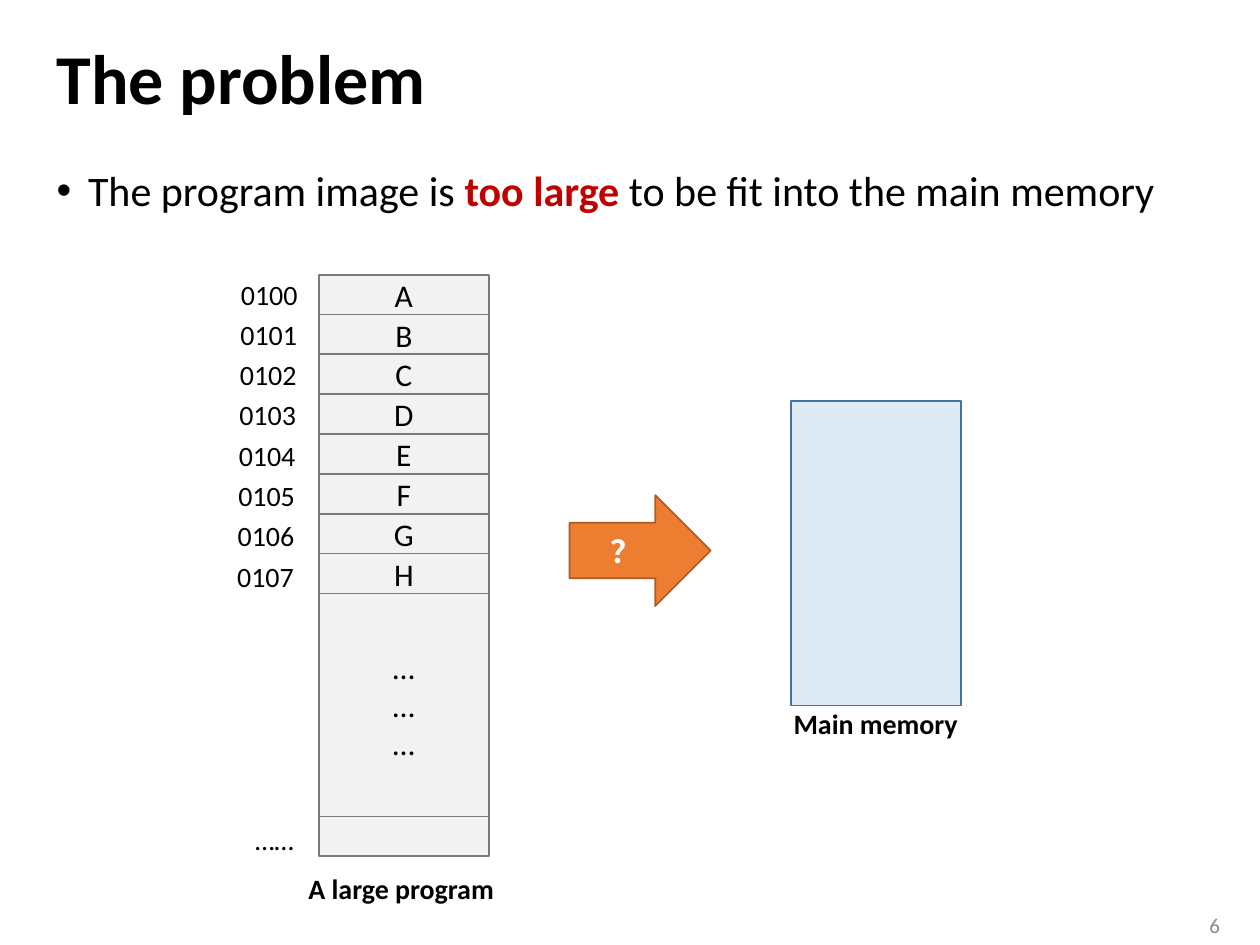
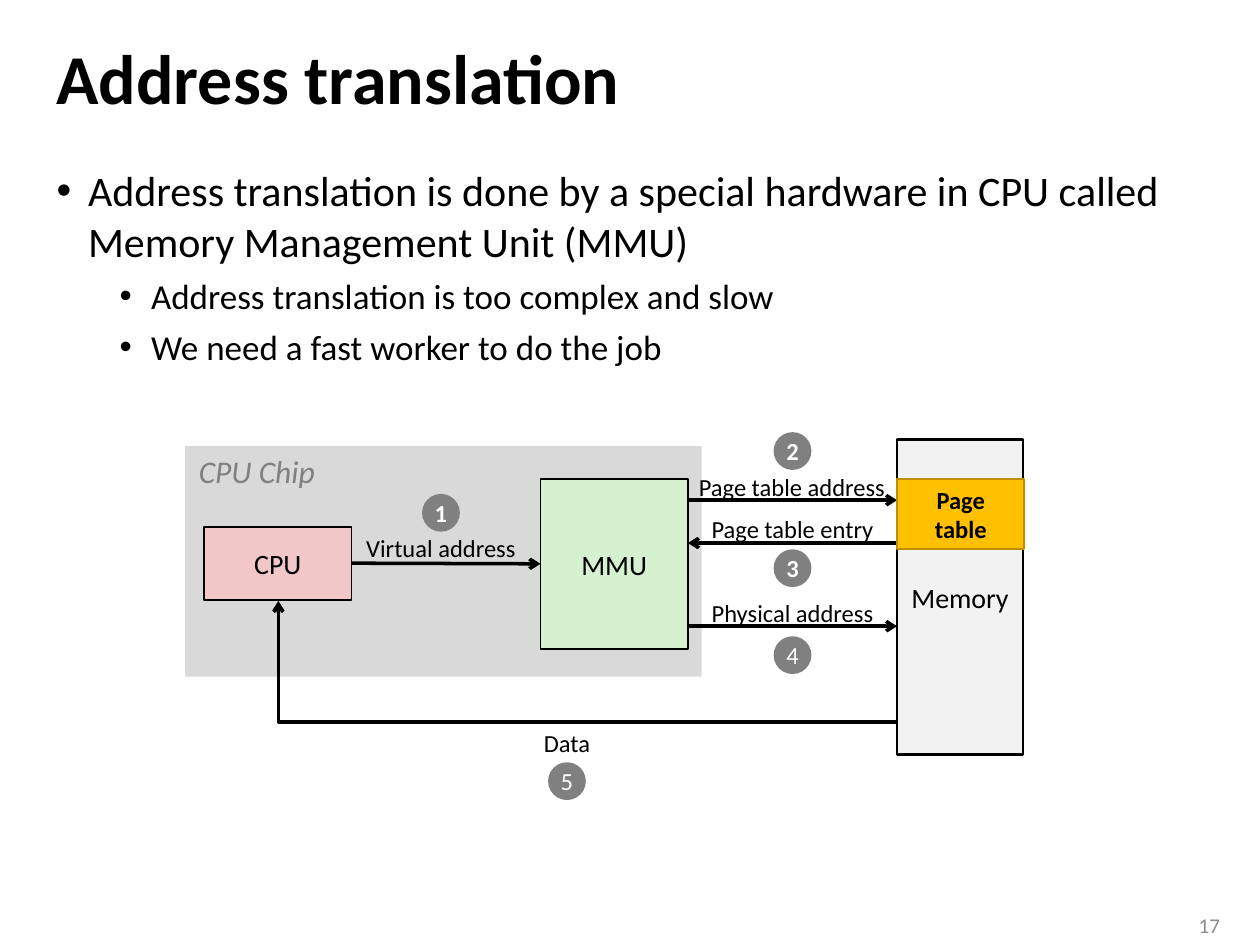
"""Build two slides on memory: an oversized program and address translation."""
from dataclasses import dataclass

from lxml.etree import SubElement
from pptx import Presentation
from pptx.dml.color import RGBColor as Color
from pptx.enum.shapes import MSO_CONNECTOR as Link, MSO_SHAPE as Kind
from pptx.enum.text import MSO_ANCHOR as Anchor, PP_ALIGN as Align
from pptx.oxml.ns import qn
from pptx.util import Inches, Pt


@dataclass(frozen=True)
class Theme:
    font: str = "Calibri"
    ink: str = "000000"
    white: str = "FFFFFF"
    alert: str = "C00000"
    page_number: str = "8C8C8C"
    gray: str = "808080"
    pale: str = "F2F2F2"
    cell_edge: str = "7A7A7A"
    memory: str = "DEEBF7"
    memory_edge: str = "43739E"
    orange: str = "ED7D31"
    orange_edge: str = "AF5C24"
    chip: str = "D9D9D9"
    mmu: str = "D5F1CF"
    cpu: str = "F1C7C7"
    gold: str = "FFC000"
    gold_edge: str = "BD8E00"
    title_size: int = 40
    body_size: int = 24
    sub_size: int = 20
    cell_size: int = 18
    label_size: int = 16
    small_size: int = 14
    number_size: int = 12


theme = Theme()


def write(box, lines, size, color=theme.ink, bold=False, italic=False,
          align=Align.CENTER, anchor=Anchor.MIDDLE, wrap=True):
    """Fill a box with lines, each a string or a list of (text, color, bold)."""
    frame = box.text_frame
    frame.word_wrap = wrap
    frame.vertical_anchor = anchor
    for index, line in enumerate(lines):
        para = frame.paragraphs[0] if index == 0 else frame.add_paragraph()
        para.alignment = align
        spans = [(line, color, bold)] if isinstance(line, str) else line
        for text, span_color, span_bold in spans:
            span = para.add_run()
            span.text = text
            span.font.name = theme.font
            span.font.size = Pt(size)
            span.font.bold = span_bold
            span.font.italic = italic
            span.font.color.rgb = Color.from_string(span_color)
    return frame


def add_box(page, spot, fill=None, edge=None, kind=Kind.RECTANGLE, width=1):
    """Add a filled shape, or a text box when there is no fill."""
    place = [Inches(length) for length in spot]
    if fill is None:
        return page.shapes.add_textbox(*place)
    box = page.shapes.add_shape(kind, *place)
    box.shadow.inherit = False
    box.fill.solid()
    box.fill.fore_color.rgb = Color.from_string(fill)
    if edge:
        box.line.color.rgb = Color.from_string(edge)
        box.line.width = Pt(width)
    else:
        box.line.fill.background()
    return box


deck = Presentation()
deck.slide_width, deck.slide_height = Inches(10), Inches(7.5)

outlines = [
    ("The problem", "6", [
        (0, [("The program image is ", theme.ink, False),
             ("too large ", theme.alert, True),
             ("to be fit into the main memory", theme.ink, False)])]),
    ("Address translation", "17", [
        (0, "Address translation is done by a special hardware in CPU called "
            "Memory Management Unit (MMU)"),
        (1, "Address translation is too complex and slow"),
        (1, "We need a fast worker to do the job")]),
]
pages = []
for title, number, bullets in outlines:
    page = deck.slides.add_slide(deck.slide_layouts[6])
    pages.append(page)
    frame = write(add_box(page, (0.35, 0.19, 9.29, 0.92)), [title],
                  theme.title_size, bold=True, align=Align.LEFT)
    frame.paragraphs[0].line_spacing = 0.9
    frame = write(add_box(page, (0.35, 1.26, 9.29, 5.83)),
                  [line for level, line in bullets], theme.body_size,
                  align=Align.LEFT, anchor=Anchor.TOP)
    for para, (level, line) in zip(frame.paragraphs, bullets):
        para.level = level
        para.space_before = Pt(5 if level else 10)
        for span in para.runs:
            span.font.size = Pt(theme.sub_size if level else theme.body_size)
        layout = para._p.get_or_add_pPr()
        layout.set("marL", str(Inches(0.25 + 0.5 * level)))
        layout.set("indent", str(Inches(-0.25)))
        SubElement(layout, qn("a:buFont")).set("typeface", "Arial")
        SubElement(layout, qn("a:buChar")).set("char", "•")
    write(add_box(page, (9.27, 7.19, 0.51, 0.31)), [number],
          theme.number_size, theme.page_number, align=Align.RIGHT)

problem, translation = pages

add_box(problem, (6.28, 3.18, 1.35, 2.42), theme.memory, theme.memory_edge)

cell_left, cell_width, cells_top, rest_top = 2.53, 1.35, 2.18, 4.71
letters = "ABCDEFGH"
cell_height = (rest_top - cells_top) / len(letters)
for row, letter in enumerate(letters):
    spot = (cell_left, cells_top + row * cell_height, cell_width, cell_height)
    cell = add_box(problem, spot, theme.pale, theme.cell_edge)
    write(cell, [letter], theme.cell_size)
    address = add_box(problem, (1.69 - 0.03 * row / 7, 2.15 + 0.32 * row, 0.77, 0.37))
    write(address, [f"{100 + row:04}"], theme.label_size,
          align=Align.RIGHT, anchor=Anchor.TOP)

rest = add_box(problem, (cell_left, rest_top, cell_width, 1.77),
               theme.pale, theme.cell_edge)
write(rest, ["…"] * 3, theme.cell_size)
add_box(problem, (cell_left, 6.48, cell_width, cell_height),
        theme.pale, theme.cell_edge)
write(add_box(problem, (1.73, 6.48, 0.7, 0.37)), ["……"], theme.label_size,
      align=Align.RIGHT, anchor=Anchor.TOP)

question = add_box(problem, (4.52, 3.93, 1.12, 0.88), theme.orange,
                   theme.orange_edge, Kind.RIGHT_ARROW)
write(question, ["？"], theme.cell_size, theme.white, bold=True)

for caption, spot in [("Main memory", (6.2, 5.56, 1.52, 0.37)),
                      ("A large program", (2.35, 6.87, 1.7, 0.37))]:
    write(add_box(problem, spot), [caption], theme.label_size, bold=True,
          align=Align.LEFT, anchor=Anchor.TOP, wrap=False)

add_box(translation, (1.47, 3.54, 4.1, 1.83), theme.chip)
write(add_box(translation, (1.48, 3.54, 1.16, 0.4)), ["CPU Chip"],
      theme.cell_size, theme.gray, italic=True, align=Align.LEFT,
      anchor=Anchor.TOP, wrap=False)

units = {}
for name, spot, fill, width in [
        ("MMU", (4.29, 3.8, 1.17, 1.35), theme.mmu, 1),
        ("Memory", (7.12, 3.49, 1, 2.5), theme.pale, 1.5),
        ("CPU", (1.62, 4.18, 1.17, 0.58), theme.cpu, 1)]:
    units[name] = add_box(translation, spot, fill, theme.ink, width=width)
    write(units[name], [name], theme.label_size, wrap=False)

mmu_right, memory_left = 5.46, 7.12
arrows = [
    (Link.STRAIGHT, (2.79, 4.47), (4.29, 4.47)),
    (Link.STRAIGHT, (mmu_right, 3.97), (memory_left, 3.97)),
    (Link.STRAIGHT, (memory_left, 4.31), (mmu_right, 4.31)),
    (Link.STRAIGHT, (mmu_right, 4.97), (memory_left, 4.97)),
    (Link.ELBOW, (memory_left, 5.73), (2.21, 4.77)),
]
links = []
for kind, start, end in arrows:
    link = translation.shapes.add_connector(
        kind, *[Inches(length) for length in start + end])
    link.line.color.rgb = Color.from_string(theme.ink)
    link.line.width = Pt(2)
    SubElement(link.line._get_or_add_ln(), qn("a:tailEnd")).set("type", "arrow")
    shape_format = link._element.spPr
    SubElement(shape_format, qn("a:effectLst"))
    if kind == Link.ELBOW:
        shape_format.find(qn("a:prstGeom")).set("prst", "bentConnector2")
    links.append(link)
links[0].begin_connect(units["CPU"], 3)
links[0].end_connect(units["MMU"], 1)

for label, spot in [("Virtual address", (2.8, 4.18, 1.4, 0.33)),
                    ("Page table address", (5.44, 3.7, 1.69, 0.33)),
                    ("Page table entry", (5.54, 4.03, 1.5, 0.33)),
                    ("Physical address", (5.54, 4.7, 1.5, 0.33)),
                    ("Data", (4.21, 5.73, 0.58, 0.33))]:
    write(add_box(translation, spot), [label], theme.small_size, wrap=False)

steps = [(3.35, 3.92), (6.14, 3.43), (6.14, 4.36), (6.14, 5.05), (4.35, 6.05)]
for step, (left, top) in enumerate(steps, 1):
    badge = add_box(translation, (left, top, 0.3, 0.3), theme.gray, kind=Kind.OVAL)
    write(badge, [str(step)], theme.small_size, theme.white,
          bold=step <= 3, wrap=False)

page_table = add_box(translation, (memory_left, 3.8, 1.01, 0.56),
                     theme.gold, theme.gold_edge)
write(page_table, ["Page", "table"], theme.small_size, bold=True)

deck.save("out.pptx")
